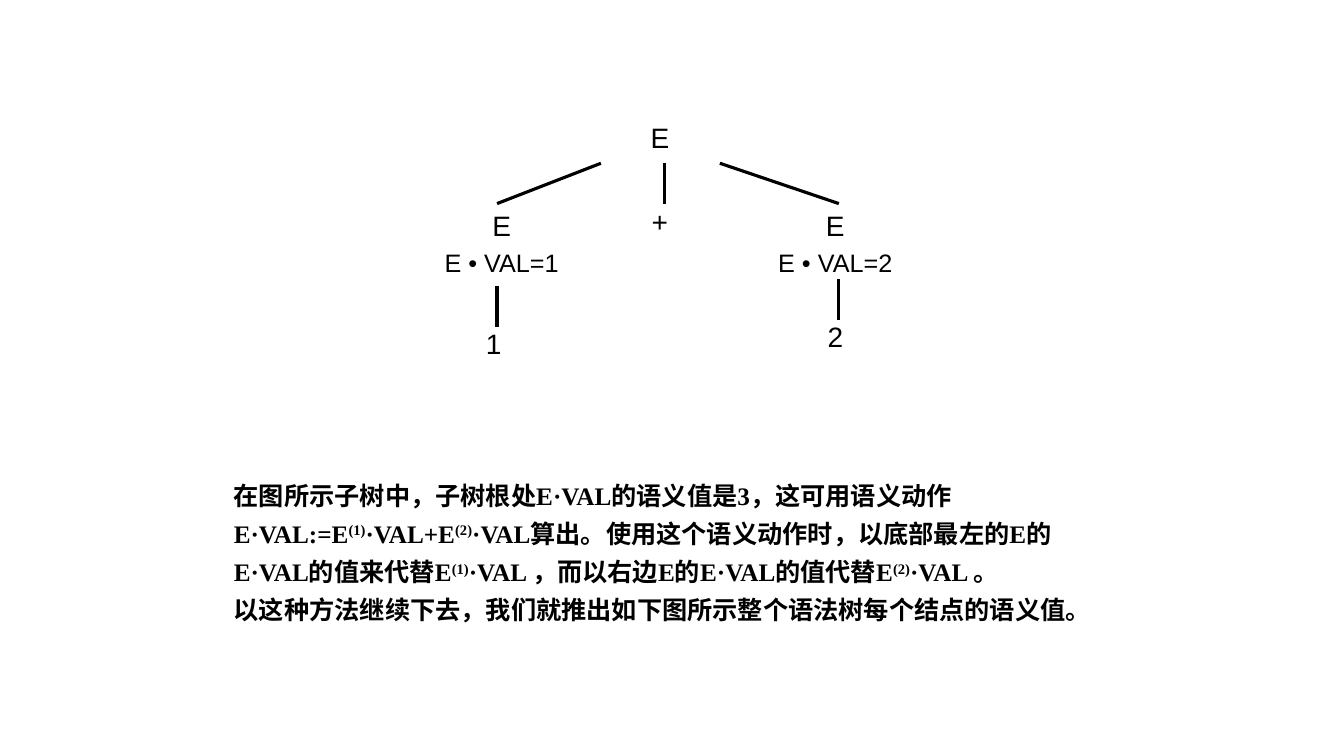
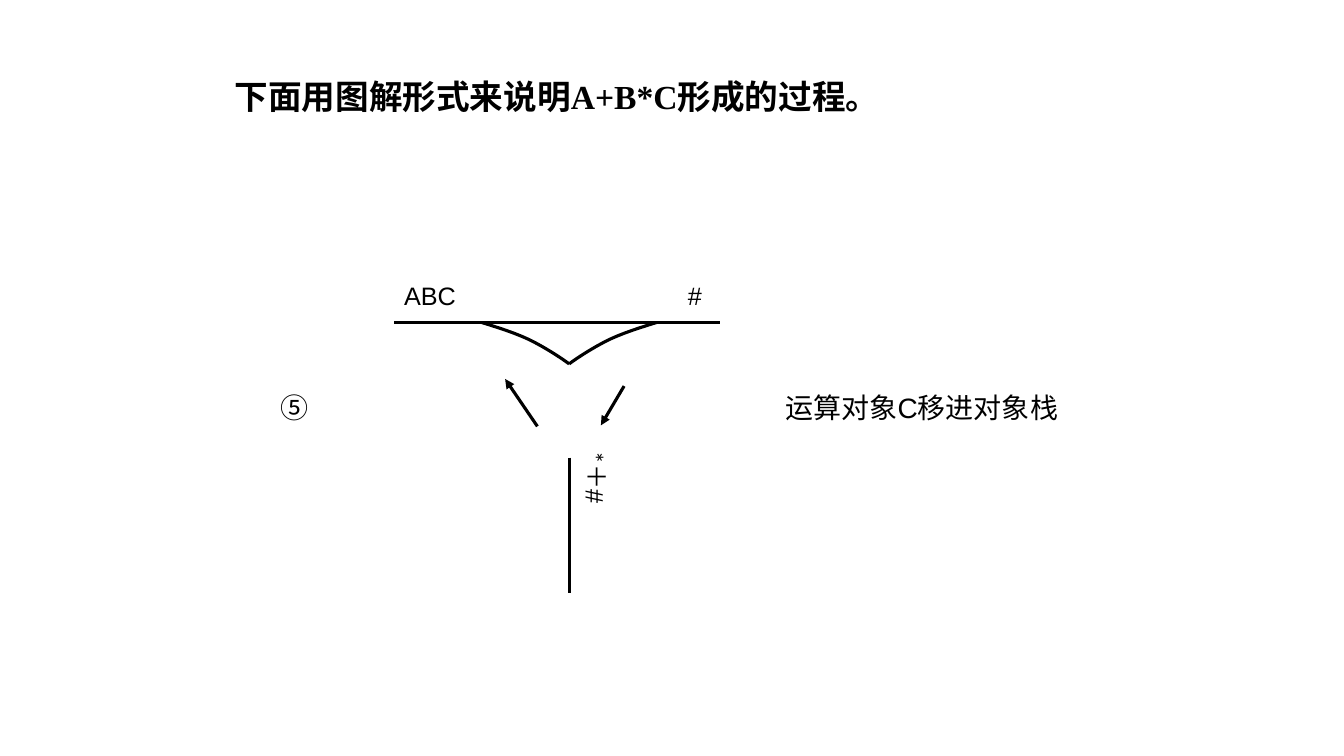
from pptx import Presentation
from pptx.dml.color import RGBColor
from pptx.enum.shapes import MSO_CONNECTOR, MSO_SHAPE
from pptx.enum.text import MSO_ANCHOR, MSO_AUTO_SIZE, PP_ALIGN
from pptx.oxml.ns import qn
from pptx.util import Inches, Pt
from lxml import etree

STRAIGHT = MSO_CONNECTOR.STRAIGHT
RECTANGLE = MSO_SHAPE.RECTANGLE
TOP = MSO_ANCHOR.TOP
FIT = MSO_AUTO_SIZE.SHAPE_TO_FIT_TEXT
FIXED = MSO_AUTO_SIZE.NONE
LEFT, CENTER, RIGHT, JUSTIFY = PP_ALIGN.LEFT, PP_ALIGN.CENTER, PP_ALIGN.RIGHT, PP_ALIGN.JUSTIFY

COLORS = {"ink": "000000", "paper": "FFFFFF"}
EAST_ASIAN_FONT = "Noto Sans CJK SC"
CELLS_PER_INCH = 10
LABEL_HEIGHT = 4.3
LABEL = {"name": "Arial", "size": Pt(20), "bold": False}
SMALL = {**LABEL, "size": Pt(18)}
BODY = {"name": "Times New Roman", "size": Pt(18), "bold": True}
TITLE = {**BODY, "size": Pt(24)}

EXPLANATION = [
    "在图所示子树中，子树根处E·VAL的语义值是3，这可用语义动作",
    "E·VAL:=E|(1)|·VAL+E|(2)|·VAL算出。使用这个语义动作时，以底部最左的E的",
    "E·VAL的值来代替E|(1)|·VAL ，而以右边E的E·VAL的值代替E|(2)|·VAL 。",
    "以这种方法继续下去，我们就推出如下图所示整个语法树每个结点的语义值。",
]


def cells(count):
    """Turn a number of grid cells into a length."""
    return Inches(count / CELLS_PER_INCH)


def color(key):
    """Look up a colour of the palette."""
    return RGBColor.from_string(COLORS[key])


def bezier(start, first, second, end, steps=12):
    """Return evenly stepped points along a cubic curve."""
    points = []
    for step in range(steps + 1):
        t = step / steps
        weights = ((1 - t) ** 3, 3 * t * (1 - t) ** 2, 3 * t * t * (1 - t), t ** 3)
        points.append(tuple(sum(w * p for w, p in zip(weights, axis))
                            for axis in zip(start, first, second, end)))
    return points


class Board:
    """Hold the shared style and the slide being drawn."""

    def __init__(self):
        """Start an empty widescreen deck."""
        self.deck = Presentation()
        self.deck.slide_width = Inches(13.33)
        self.deck.slide_height = Inches(7.5)
        self.page = None

    def new_page(self):
        """Add a blank page and draw on it from now on."""
        self.page = self.deck.slides.add_slide(self.deck.slide_layouts[6])
        self.page.background.fill.solid()
        self.page.background.fill.fore_color.rgb = color("paper")

    def add_text(self, para, text, style):
        """Add text to a paragraph, raising the parts between bars."""
        for index, piece in enumerate(text.split("|")):
            span = para.add_run()
            span.text = piece
            for key, value in style.items():
                setattr(span.font, key, value)
            span.font.color.rgb = color("ink")
            properties = span.font._element
            etree.SubElement(properties, qn("a:ea")).set("typeface", EAST_ASIAN_FONT)
            if index % 2:
                properties.set("baseline", "30000")

    def frame(self, box, **settings):
        """Apply the common text frame settings to a box."""
        frame = box.text_frame
        common = {"word_wrap": True, "vertical_anchor": TOP, "auto_size": FIT}
        for key, value in {**common, **settings}.items():
            setattr(frame, key, value)
        return frame

    def label(self, left, top, width, text, style=LABEL, align=CENTER):
        """Place one line of text."""
        box = self.page.shapes.add_textbox(*map(cells, (left, top, width, LABEL_HEIGHT)))
        para = self.frame(box).paragraphs[0]
        para.alignment = align
        self.add_text(para, text, style)

    def node(self, center, top, text, style=LABEL, width=5.5):
        """Place a tree label around a centre."""
        self.label(center - width / 2, top, width, text, style)

    def panel(self, left, top, width, text):
        """Place text on a paper-coloured rectangle."""
        box = self.page.shapes.add_shape(RECTANGLE, *map(cells, (left, top, width, LABEL_HEIGHT)))
        box.shadow.inherit = False
        box.fill.solid()
        box.fill.fore_color.rgb = color("paper")
        box.line.fill.background()
        para = self.frame(box).paragraphs[0]
        para.alignment = LEFT
        self.add_text(para, text, LABEL)

    def prose(self, left, top, width, height, lines, style, indent, spacing):
        """Place justified paragraphs with a left indent."""
        box = self.page.shapes.add_textbox(*map(cells, (left, top, width, height)))
        frame = self.frame(box, auto_size=FIXED)
        for index, line in enumerate(lines):
            para = frame.add_paragraph() if index else frame.paragraphs[0]
            para.alignment = JUSTIFY
            para.line_spacing = spacing
            para.space_before = Pt(10 if index else 0)
            para._p.get_or_add_pPr().set("marL", str(cells(indent)))
            self.add_text(para, line, style)

    def stack(self, left, top, width, height, spans):
        """Place text that runs downwards."""
        box = self.page.shapes.add_textbox(*map(cells, (left, top, width, height)))
        frame = self.frame(box, auto_size=FIXED, margin_left=cells(0.5), margin_right=cells(0.5),
                           margin_top=cells(1), margin_bottom=cells(1))
        frame._txBody.bodyPr.set("vert", "eaVert")
        for text, style in spans:
            self.add_text(frame.paragraphs[0], text, style)

    def stroke(self, line):
        """Give a line the shared ink and weight."""
        line.color.rgb = color("ink")
        line.width = Pt(2.25)

    def line(self, start, end, arrow=False):
        """Draw a straight line, with an arrowhead at its end if wanted."""
        link = self.page.shapes.add_connector(STRAIGHT, *map(cells, (*start, *end)))
        self.stroke(link.line)
        properties = link._element.spPr
        if arrow:
            etree.SubElement(properties.find(qn("a:ln")), qn("a:tailEnd")).set("type", "triangle")
        etree.SubElement(properties, qn("a:effectLst"))

    def curve(self, points):
        """Draw an open outline through points."""
        start, *rest = [tuple(map(cells, point)) for point in points]
        builder = self.page.shapes.build_freeform(*start)
        builder.add_line_segments(rest, close=False)
        outline = builder.convert_to_shape()
        outline.shadow.inherit = False
        outline.fill.background()
        self.stroke(outline.line)


def draw_tree(board):
    """Draw the subtree with its explanation."""
    board.new_page()
    board.prose(21, 47.7, 92.5, 20.4, EXPLANATION, BODY, 1.2, 0.8)
    board.node(65.45, 11.5, "E")
    board.node(65.45, 19.8, "+")
    board.line((65.9, 16.2), (65.9, 20.2))
    branches = [
        ("1", 49.75, 48.95, 59.6, 49.3, 28.4),
        ("2", 82.85, 82.85, 71.4, 83.2, 27.7),
    ]
    for value, center, leaf, fork, stem, stem_top in branches:
        board.line((fork, 16.2), (stem, 20.2))
        board.node(center, 20.2, "E")
        board.node(center, 24, f"E • VAL={value}", SMALL, 19.7)
        board.line((stem, stem_top), (stem, stem_top + 4))
        board.node(leaf, stem_top + 3.55, value)


def draw_stacks(board):
    """Draw the operand and operator stacks of step five."""
    board.new_page()
    board.prose(21.7, 7.5, 89.6, 7.2, ["下面用图解形式来说明A+B*C形成的过程。"], TITLE, 0.6, 0.9)
    axis, level = 56.45, 32
    board.line((39.1, level), (71.4, level))
    board.label(39.1, 27.3, 11, "ABC", SMALL, LEFT)
    board.label(57.2, 27.3, 13.4, "#", SMALL, RIGHT)
    upper = bezier((8.65, 0), (7.05, 0.5), (5.45, 1), (3.95, 1.7))
    lower = bezier((3.95, 1.7), (2.55, 2.4), (1.25, 3.2), (0, 4.1))
    for side in (-1, 1):
        board.curve([(axis + side * x, level + y) for x, y in upper + lower[1:]])
    board.line((axis, 45.4), (axis, 58.8))
    board.stack(56.1, 43.8, 5, 15, [("*", {**SMALL, "name": "Calibri"}), ("＋#", SMALL)])
    board.line((61.9, 38.3), (59.6, 42.2), arrow=True)
    board.line((53.3, 42.3), (50.1, 37.6), arrow=True)
    board.label(24.1, 38.3, 10.2, "⑤", {**LABEL, "name": EAST_ASIAN_FONT})
    board.panel(76.9, 38.3, 39.8, "运算对象C移进对象栈")


def main():
    """Build and save the deck."""
    board = Board()
    draw_tree(board)
    draw_stacks(board)
    board.deck.save("out.pptx")


if __name__ == "__main__":
    main()
